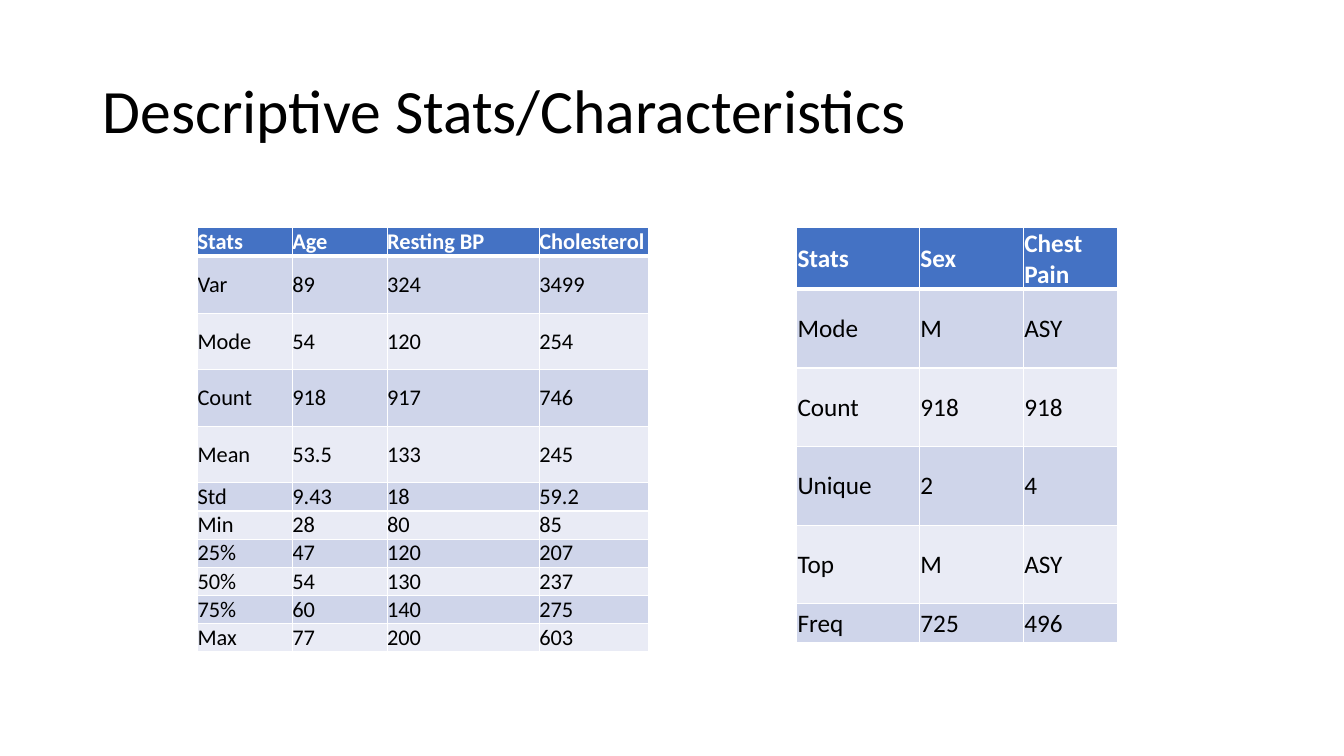
from lxml.etree import SubElement
from pptx import Presentation
from pptx.dml.color import RGBColor as Rgb
from pptx.enum.text import MSO_ANCHOR as Anchor
from pptx.oxml.ns import qn
from pptx.util import Pt

PX = 9144
COLORS = {
    "text": "000000",
    "header_text": "FFFFFF",
    "header": "4472C4",
    "odd_band": "CFD5EA",
    "even_band": "E9EBF5",
    "border": "FFFFFF",
}
NUMERIC_STATS = [
    ("Stats", "Age", "Resting BP", "Cholesterol"),
    ("Var", "89", "324", "3499"),
    ("Mode", "54", "120", "254"),
    ("Count", "918", "917", "746"),
    ("Mean", "53.5", "133", "245"),
    ("Std", "9.43", "18", "59.2"),
    ("Min", "28", "80", "85"),
    ("25%", "47", "120", "207"),
    ("50%", "54", "130", "237"),
    ("75%", "60", "140", "275"),
    ("Max", "77", "200", "603"),
]
CATEGORY_STATS = [
    ("Stats", "Sex", "Chest Pain"),
    ("Mode", "M", "ASY"),
    ("Count", "918", "918"),
    ("Unique", "2", "4"),
    ("Top", "M", "ASY"),
    ("Freq", "725", "496"),
]


def format_text(paragraph, size, color, bold=False):
    """Apply the deck's font to a paragraph's runs."""
    formats = {"name": "Calibri", "size": Pt(size), "bold": bold}
    for run in paragraph.runs:
        for name, value in formats.items():
            setattr(run.font, name, value)
        run.font.color.rgb = Rgb.from_string(COLORS[color])


def add_title(slide, box, wording):
    """Place the slide title, centred vertically in its box."""
    frame = slide.shapes.add_textbox(*(side * PX for side in box)).text_frame
    frame.word_wrap = True
    frame.vertical_anchor = Anchor.MIDDLE
    heading = frame.paragraphs[0]
    heading.text = wording
    heading.line_spacing = 0.9
    format_text(heading, 44, "text")


def add_borders(cell, row):
    """Draw white cell borders, thicker between header and body."""
    thick_side = {0: "lnB", 1: "lnT"}.get(row)
    properties = cell._tc.get_or_add_tcPr()
    for side in ("lnL", "lnR", "lnT", "lnB"):
        width = Pt(3 if side == thick_side else 1)
        line = SubElement(properties, qn(f"a:{side}"), w=str(width))
        fill = SubElement(line, qn("a:solidFill"))
        SubElement(fill, qn("a:srgbClr"), val=COLORS["border"])


def add_stats_table(slide, origin, stats, widths, heights, size, inset):
    """Place a banded table of statistics with its corner at origin."""
    box = (*origin, sum(widths), sum(heights))
    table = slide.shapes.add_table(
        len(stats), len(widths), *(side * PX for side in box)
    ).table
    for column, width in zip(table.columns, widths):
        column.width = width * PX
    for row, height in zip(table.rows, heights):
        row.height = height * PX
    cell_formats = {
        "margin_left": inset * PX,
        "margin_top": inset * PX,
        "margin_right": inset * PX,
        "margin_bottom": 0,
        "vertical_anchor": Anchor.MIDDLE,
    }
    for row, entries in enumerate(stats):
        is_header = row == 0
        band = "header" if is_header else ("even_band", "odd_band")[row % 2]
        for column, entry in enumerate(entries):
            cell = table.cell(row, column)
            cell.text = entry
            for name, value in cell_formats.items():
                setattr(cell, name, value)
            add_borders(cell, row)
            cell.fill.solid()
            cell.fill.fore_color.rgb = Rgb.from_string(COLORS[band])
            text_color = "header_text" if is_header else "text"
            format_text(cell.text_frame.paragraphs[0], size, text_color, is_header)


def main():
    """Build and save the descriptive statistics slide."""
    deck = Presentation()
    deck.slide_width, deck.slide_height = 1333 * PX, 750 * PX
    slide = deck.slides.add_slide(deck.slide_layouts[6])
    add_title(slide, (92, 40, 1150, 145), "Descriptive Stats/Characteristics")
    add_stats_table(
        slide, (196, 226), NUMERIC_STATS,
        widths=[94, 94, 151, 108], heights=[28, 57] + [56] * 3 + [28] * 6,
        size=16, inset=0,
    )
    add_stats_table(
        slide, (790, 226), CATEGORY_STATS,
        widths=[122, 103, 94], heights=[60] + [78] * 4 + [39],
        size=18, inset=1,
    )
    deck.save("out.pptx")


if __name__ == "__main__":
    main()
